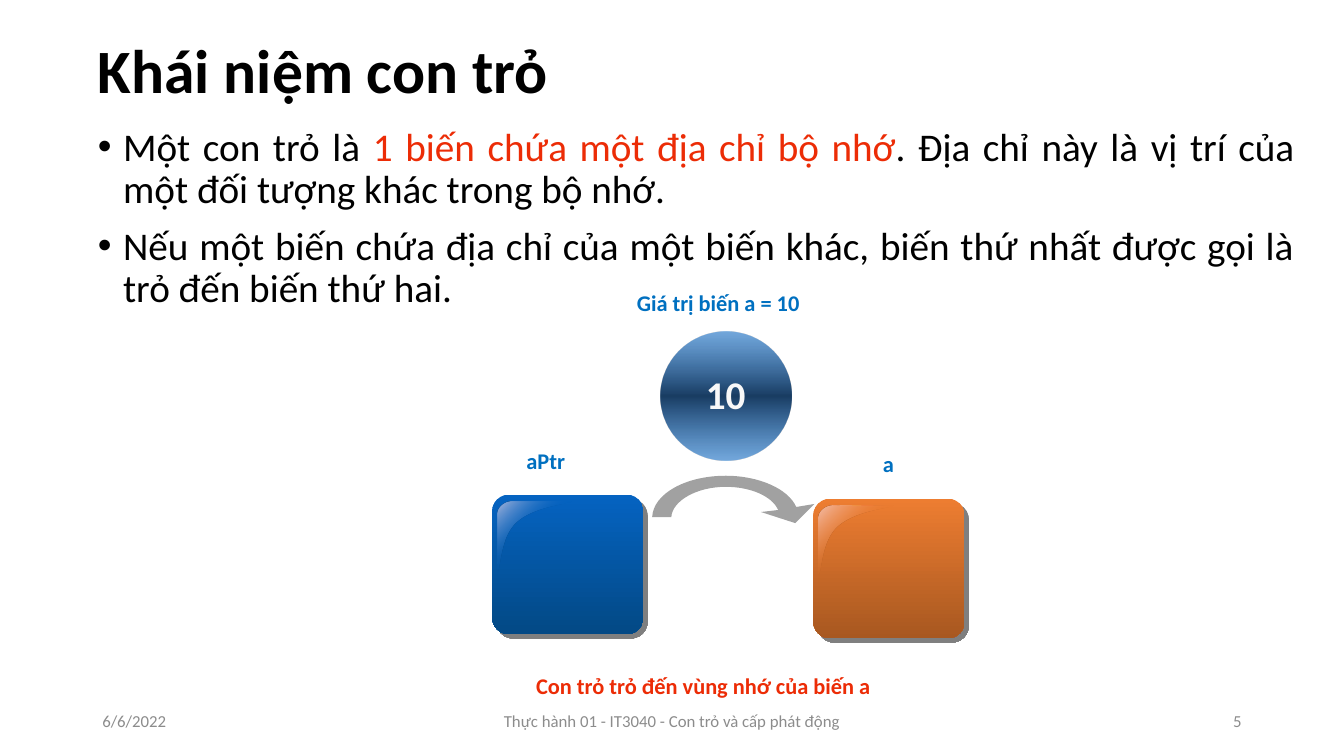
from dataclasses import dataclass

from lxml.etree import SubElement
from pptx import Presentation
from pptx.dml.color import RGBColor
from pptx.enum.shapes import MSO_SHAPE
from pptx.enum.text import MSO_ANCHOR, PP_ALIGN
from pptx.oxml.ns import qn
from pptx.util import Emu, Inches, Pt

COLS, ROWS = 40, 22.5
UNIT = Inches(13.3333) / COLS


@dataclass(frozen=True)
class Theme:
    """Colours, font and type sizes of the slide."""
    font: str = "Calibri"
    ink: str = "000000"
    red: str = "EC2C06"
    label: str = "0070C0"
    muted: str = "8C8C8C"
    light: str = "F8F8F8"
    blue: tuple = (("0563C1", 100), ("034985", 100))
    orange: tuple = (("ED7D31", 100), ("A85820", 100))
    blue_gloss: tuple = (("AAB7DC", 100), ("0563C1", 0), ("AAB7DC", 100))
    orange_gloss: tuple = (("F4BFAD", 100), ("ED7D31", 0), ("F4BFAD", 100))
    ball: tuple = (("0563C1", 55), ("002852", 90), ("0563C1", 55))
    title_size: int = 44
    body_size: int = 28
    label_size: int = 16
    footer_size: int = 12


THEME = Theme()
GLOSS = [(0.6, 0.21), (0.36, 0.21, 0.15, 0.39, 0.15, 0.6), (0.15, 2.25),
         (0.27, 2.28, 0.21, 1.26, 0.75, 0.81),
         (1.32, 0.33, 2.37, 0.3, 2.37, 0.21)]
ARROW = [(3.75, 1.02), (3.57, 0.6, 2.91, 0.33, 2.19, 0.33),
         (1.32, 0.33, 0.6, 0.75, 0.57, 1.23), (0, 1.23),
         (0.03, 0.54, 0.99, 0, 2.19, 0), (3.18, 0, 4.05, 0.39, 4.29, 0.93),
         (4.83, 0.84), (4.26, 1.41), (3.24, 1.08)]


def grid(*values):
    """Turn grid columns or rows into lengths."""
    return [Emu(round(v * UNIT)) for v in values]


def add_run(p, text, size, color, bold=False):
    """Add one styled run to a paragraph."""
    r = p.add_run()
    r.text = text
    r.font.name, r.font.size, r.font.bold = THEME.font, Pt(size), bold
    r.font.color.rgb = RGBColor.from_string(color)


def add_text(s, box, text, size, color, bold=False, align=PP_ALIGN.LEFT,
             anchor=MSO_ANCHOR.TOP, wrap=True):
    """Place a text box holding one line of text."""
    tf = s.shapes.add_textbox(*grid(*box)).text_frame
    tf.word_wrap, tf.vertical_anchor = wrap, anchor
    p = tf.paragraphs[0]
    p.alignment = align
    add_run(p, text, size, color, bold)
    return p


def set_alpha(color, percent):
    """Make a colour element partly transparent."""
    SubElement(color, qn("a:alpha")).set("val", str(percent * 1000))


def set_gradient(sp, stops, angle):
    """Fill a shape with evenly spaced gradient stops."""
    sp.fill.gradient()
    sp.fill.gradient_angle = 360 - angle
    stop_list = next(sp._element.spPr.iter(qn("a:gsLst")))
    for old in list(stop_list):
        stop_list.remove(old)
    for i, (value, percent) in enumerate(stops):
        gs = SubElement(stop_list, qn("a:gs"),
                        pos=str(100000 * i // (len(stops) - 1)))
        color = SubElement(gs, qn("a:srgbClr"), val=value)
        if percent < 100:
            set_alpha(color, percent)


def clear_style(sp):
    """Take away a shape's outline and shadow."""
    sp.line.fill.background()
    sp.shadow.inherit = False


def add_shadow(sp):
    """Give a shape a sharp grey shadow to the lower right."""
    effects = sp._element.spPr.find(qn("a:effectLst"))
    shadow = SubElement(effects, qn("a:outerShdw"), dist=str(Pt(4.2)),
                        dir=str(45 * 60000), algn="ctr", rotWithShape="0")
    set_alpha(SubElement(shadow, qn("a:srgbClr"), val=THEME.ink), 50)


def add_outline(s, x, y, outline):
    """Draw a closed outline of lines and cubic curves from a corner."""
    points = [grid(x + part[i], y + part[i + 1])
              for part in outline for i in range(0, len(part), 2)]
    builder = s.shapes.build_freeform(*points[0])
    builder.add_line_segments(points[1:], close=True)
    sp = builder.convert_to_shape()
    clear_style(sp)
    lines = iter(list(sp._element.spPr.iter(qn("a:lnTo"))))
    for part in outline[1:]:
        first = next(lines)
        if len(part) == 6:
            first.tag = qn("a:cubicBezTo")
            for line in (next(lines), next(lines)):
                first.append(line[0])
                line.getparent().remove(line)
    return sp


def add_title(s, box):
    """Place the slide title."""
    p = add_text(s, box, "Khái niệm con trỏ", THEME.title_size, THEME.ink,
                 bold=True, anchor=MSO_ANCHOR.MIDDLE)
    p.line_spacing = 0.9


def add_bullets(s, box):
    """Place the justified bullet list."""
    bullets = [
        [("Một con trỏ là ", THEME.ink),
         ("1 biến chứa một địa chỉ bộ nhớ", THEME.red),
         (". Địa chỉ này là vị trí của một đối tượng khác trong bộ nhớ.",
          THEME.ink)],
        [("Nếu một biến chứa địa chỉ của một biến khác, biến thứ nhất "
          "được gọi là trỏ đến biến thứ hai.", THEME.ink)],
    ]
    tf = s.shapes.add_textbox(*grid(*box)).text_frame
    tf.word_wrap = True
    for i, runs in enumerate(bullets):
        p = tf.add_paragraph() if i else tf.paragraphs[0]
        p.alignment, p.line_spacing = PP_ALIGN.JUSTIFY, 0.9
        p.space_before = Pt(10 if i else 0)
        pPr = p._p.get_or_add_pPr()
        pPr.set("marL", str(Inches(0.25)))
        pPr.set("indent", str(-Inches(0.25)))
        SubElement(pPr, qn("a:buFont"), typeface="Arial")
        SubElement(pPr, qn("a:buChar"), char="•")
        for text, color in runs:
            add_run(p, text, THEME.body_size, color)


def add_memory_cell(s, box, stops, gloss):
    """Draw a glossy rounded memory cell."""
    sp = s.shapes.add_shape(MSO_SHAPE.ROUNDED_RECTANGLE, *grid(*box))
    sp.adjustments[0] = 0.12
    clear_style(sp)
    set_gradient(sp, stops, 90)
    add_shadow(sp)
    set_gradient(add_outline(s, *box[:2], GLOSS), gloss, 45)


def add_diagram(s, box):
    """Draw the pointer, its target, the value and their labels."""
    x, y, w, h = box
    cell_w, cell_h = 4.5, 4.16
    add_memory_cell(s, (x, y + 6.26, cell_w, cell_h),
                    THEME.blue, THEME.blue_gloss)

    arrow = add_outline(s, x + 4.76, y + 5.7, ARROW)
    arrow.fill.solid()
    arrow.fill.fore_color.rgb = RGBColor.from_string(THEME.ink)
    set_alpha(next(arrow._element.spPr.iter(qn("a:srgbClr"))), 37)

    add_memory_cell(s, (x + w - cell_w, y + 6.38, cell_w, cell_h),
                    THEME.orange, THEME.orange_gloss)

    ball = s.shapes.add_shape(MSO_SHAPE.OVAL,
                              *grid(x + 5, y + 1.41, 3.9, 3.84))
    clear_style(ball)
    set_gradient(ball, THEME.ball, 90)
    add_text(s, (x + 5.21, y + 2.4, 3.48, 1.71), "10", THEME.body_size,
             THEME.light, bold=True, align=PP_ALIGN.CENTER)

    label_h = 1.11
    for text, dx, dy, width, color in (
            ("Giá trị biến a = 10", 4.01, 0, 6.21, THEME.label),
            ("aPtr", 0.72, 4.7, 1.92, THEME.label),
            ("a", 11.33, 4.79, 0.99, THEME.label),
            ("Con trỏ trỏ đến vùng nhớ của biến a", 1.01, h - label_h,
             12.24, THEME.red)):
        add_text(s, (x + dx, y + dy, width, label_h), text,
                 THEME.label_size, color, bold=True, wrap=False)


def add_footer(s, box):
    """Place the date, the footer text and the slide number."""
    x, y, w, h = box
    side, middle = 9, 13.5
    for text, left, width, align in (
            ("6/6/2022", x, side, PP_ALIGN.LEFT),
            ("Thực hành 01 - IT3040 - Con trỏ và cấp phát động",
             x + (w - middle) / 2, middle, PP_ALIGN.CENTER),
            ("5", x + w - side, side, PP_ALIGN.RIGHT)):
        add_text(s, (left, y, width, h), text, THEME.footer_size,
                 THEME.muted, align=align, anchor=MSO_ANCHOR.MIDDLE)


def main():
    """Build the slide and save it."""
    prs = Presentation()
    prs.slide_width, prs.slide_height = grid(COLS, ROWS)
    s = prs.slides.add_slide(prs.slide_layouts[6])
    add_title(s, (2.62, 0, 34.5, 4.35))
    add_bullets(s, (2.62, 3.65, 36.2, 18.5))
    add_diagram(s, (14.65, 8.46, 14.06, 12.51))
    add_footer(s, (2.75, 20.85, 34.5, 1.2))
    prs.save("out.pptx")


if __name__ == "__main__":
    main()
